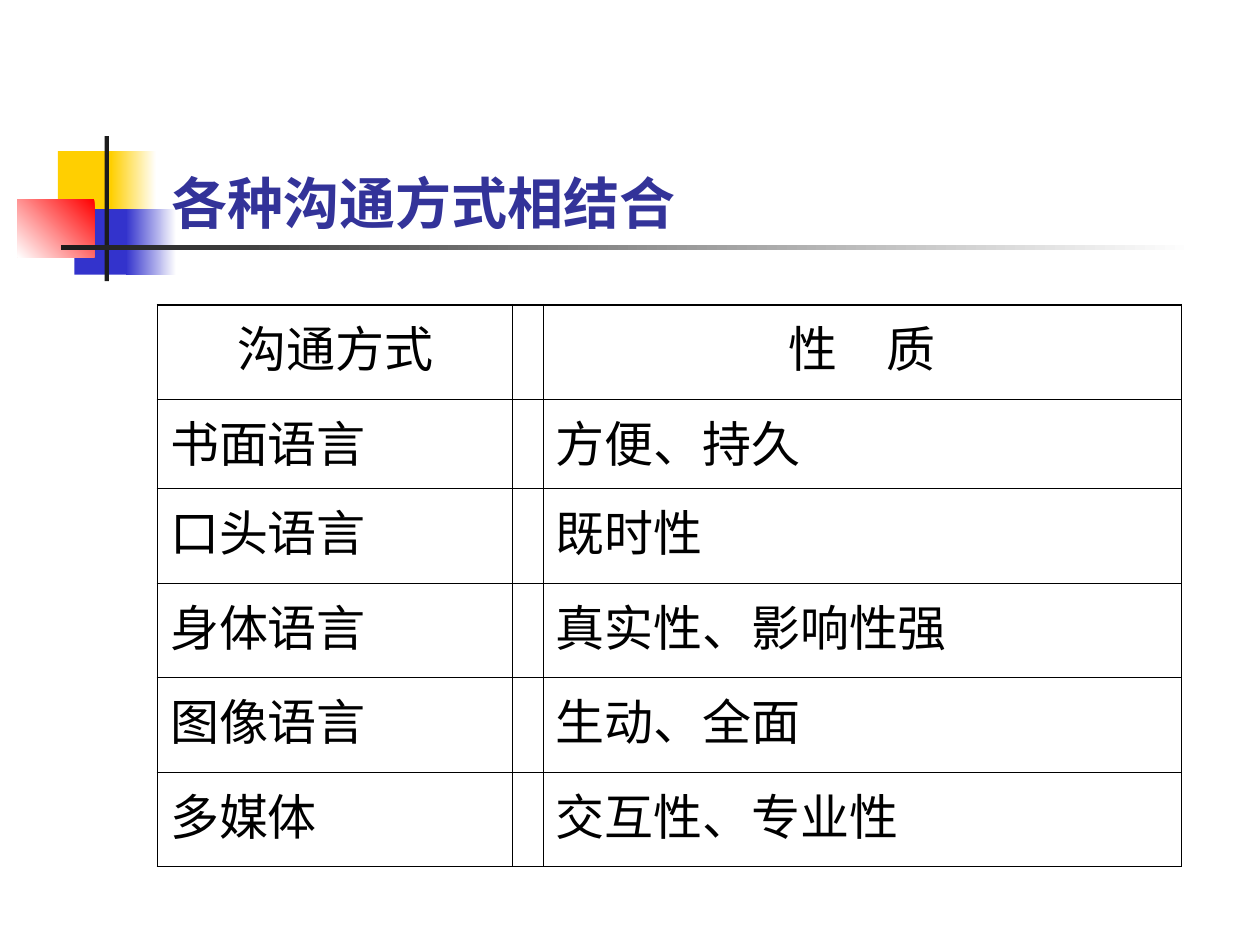
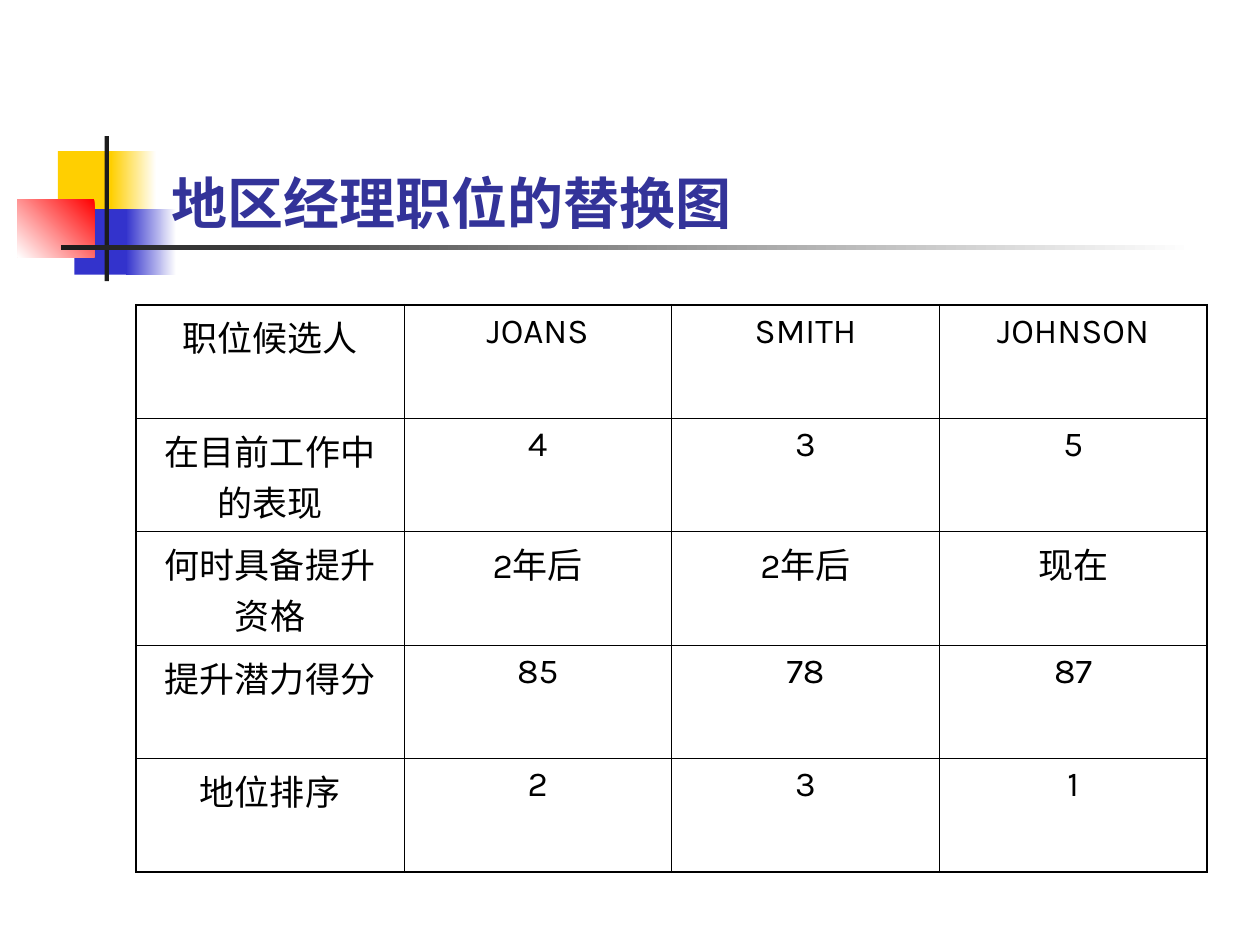
from dataclasses import dataclass
from typing import Optional

from lxml.etree import SubElement
from pptx import Presentation
from pptx.dml.color import RGBColor
from pptx.enum.shapes import MSO_SHAPE
from pptx.enum.text import MSO_ANCHOR, PP_ALIGN
from pptx.oxml.ns import qn
from pptx.util import Pt

COLORS = {
    "yellow": "FFCF01",
    "blue": "3333CC",
    "red": "FF0000",
    "ink": "1C1C1C",
    "white": "FFFFFF",
    "title": "333399",
    "text": "000000",
}
FONT = "Karla"
INNER_LINE, OUTER_LINE = Pt(0.45), Pt(1.08)
TABLE_TOP = 174.2


@dataclass(frozen=True)
class Block:
    """A decorative rectangle; it fades to end_color when one is given."""
    left: float
    top: float
    width: float
    height: float
    color: str
    end_color: Optional[str] = None
    angle: int = 180


@dataclass(frozen=True)
class Grid:
    """A ruled table; the header row is always centred."""
    left: float
    widths: list[float]
    heights: list[float]
    size: int
    body_align: PP_ALIGN
    rows: list[list[str]]


@dataclass(frozen=True)
class Page:
    title: str
    grid: Grid


# Motif shared by every slide, from back to front
MOTIF = [
    Block(33.1, 86.4, 34.6, 37.4, "yellow"),
    Block(63.4, 86.4, 25.9, 37.4, "white", "yellow"),
    Block(42.5, 119.5, 33.1, 37.4, "blue"),
    Block(72, 119.5, 28.8, 37.4, "white", "blue"),
    Block(10, 113.8, 44, 33.1, "red", "white", 225),
    Block(59.8, 77.8, 2.4, 82.8, "ink"),
    Block(34.6, 140.2, 648, 2.4, "white", "ink"),
]

PAGES = [
    Page("各种沟通方式相结合", Grid(
        90, [203, 17, 365], [54, 51, 54, 54, 54, 54], 28, PP_ALIGN.LEFT, [
            ["沟通方式", "", "性　质"],
            ["书面语言", "", "方便、持久"],
            ["口头语言", "", "既时性"],
            ["身体语言", "", "真实性、影响性强"],
            ["图像语言", "", "生动、全面"],
            ["多媒体", "", "交互性、专业性"],
        ])),
    Page("地区经理职位的替换图", Grid(
        77.8, [153] * 4, [64.8] * 5, 20, PP_ALIGN.CENTER, [
            ["职位候选人", "JOANS", "SMITH", "JOHNSON"],
            ["在目前工作中的表现", "4", "3", "5"],
            ["何时具备提升资格", "2年后", "2年后", "现在"],
            ["提升潜力得分", "85", "78", "87"],
            ["地位排序", "2", "3", "1"],
        ])),
]


def rgb(name: str) -> RGBColor:
    return RGBColor.from_string(COLORS[name])


def write(para, text: str, color: str, **formats) -> None:
    span = para.add_run()
    span.text = text
    span.font.color.rgb = rgb(color)
    for name, value in {"name": FONT, **formats}.items():
        setattr(span.font, name, value)


def draw_block(slide, block: Block) -> None:
    shape = slide.shapes.add_shape(
        MSO_SHAPE.RECTANGLE, Pt(block.left), Pt(block.top),
        Pt(block.width), Pt(block.height))
    shape.shadow.inherit = False
    shape.line.fill.background()
    if block.end_color is None:
        shape.fill.solid()
        shape.fill.fore_color.rgb = rgb(block.color)
        return
    shape.fill.gradient()
    shape.fill.gradient_angle = block.angle
    for stop, color in zip(shape.fill.gradient_stops, (block.color, block.end_color)):
        stop.color.rgb = rgb(color)


def draw_title(slide, title: str) -> None:
    box = slide.shapes.add_textbox(Pt(90.7), Pt(48.2), Pt(613.4), Pt(90))
    frame = box.text_frame
    frame.word_wrap = True
    frame.vertical_anchor = MSO_ANCHOR.BOTTOM
    write(frame.paragraphs[0], title, "title", size=Pt(32), bold=True)


def set_borders(cell, outer_sides: dict[str, bool]) -> None:
    """Rule all four sides, heavier where a side lies on the table's edge."""
    properties = cell._tc.get_or_add_tcPr()
    for side, is_outer in outer_sides.items():
        width = OUTER_LINE if is_outer else INNER_LINE
        line = SubElement(properties, qn(f"a:ln{side}"), w=str(int(width)))
        fill = SubElement(line, qn("a:solidFill"))
        SubElement(fill, qn("a:srgbClr"), val=COLORS["text"])


def draw_grid(slide, grid: Grid) -> None:
    last_row, last_column = len(grid.heights) - 1, len(grid.widths) - 1
    table = slide.shapes.add_table(
        last_row + 1, last_column + 1, Pt(grid.left), Pt(TABLE_TOP),
        Pt(sum(grid.widths)), Pt(sum(grid.heights))).table
    table.first_row = table.horz_banding = False
    for column, width in zip(table.columns, grid.widths):
        column.width = Pt(width)
    for row, height in zip(table.rows, grid.heights):
        row.height = Pt(height)

    for r, texts in enumerate(grid.rows):
        for c, text in enumerate(texts):
            cell = table.cell(r, c)
            # Borders come before the fill in the cell's properties
            set_borders(cell, {"L": c == 0, "R": c == last_column,
                               "T": r == 0, "B": r == last_row})
            cell.fill.background()
            if text:
                para = cell.text_frame.paragraphs[0]
                para.alignment = PP_ALIGN.CENTER if r == 0 else grid.body_align
                write(para, text, "text", size=Pt(grid.size))


def main() -> None:
    deck = Presentation()
    deck.slide_width, deck.slide_height = Pt(720), Pt(540)
    for page in PAGES:
        slide = deck.slides.add_slide(deck.slide_layouts[6])
        for block in MOTIF:
            draw_block(slide, block)
        draw_title(slide, page.title)
        draw_grid(slide, page.grid)
    deck.save("out.pptx")


if __name__ == "__main__":
    main()
